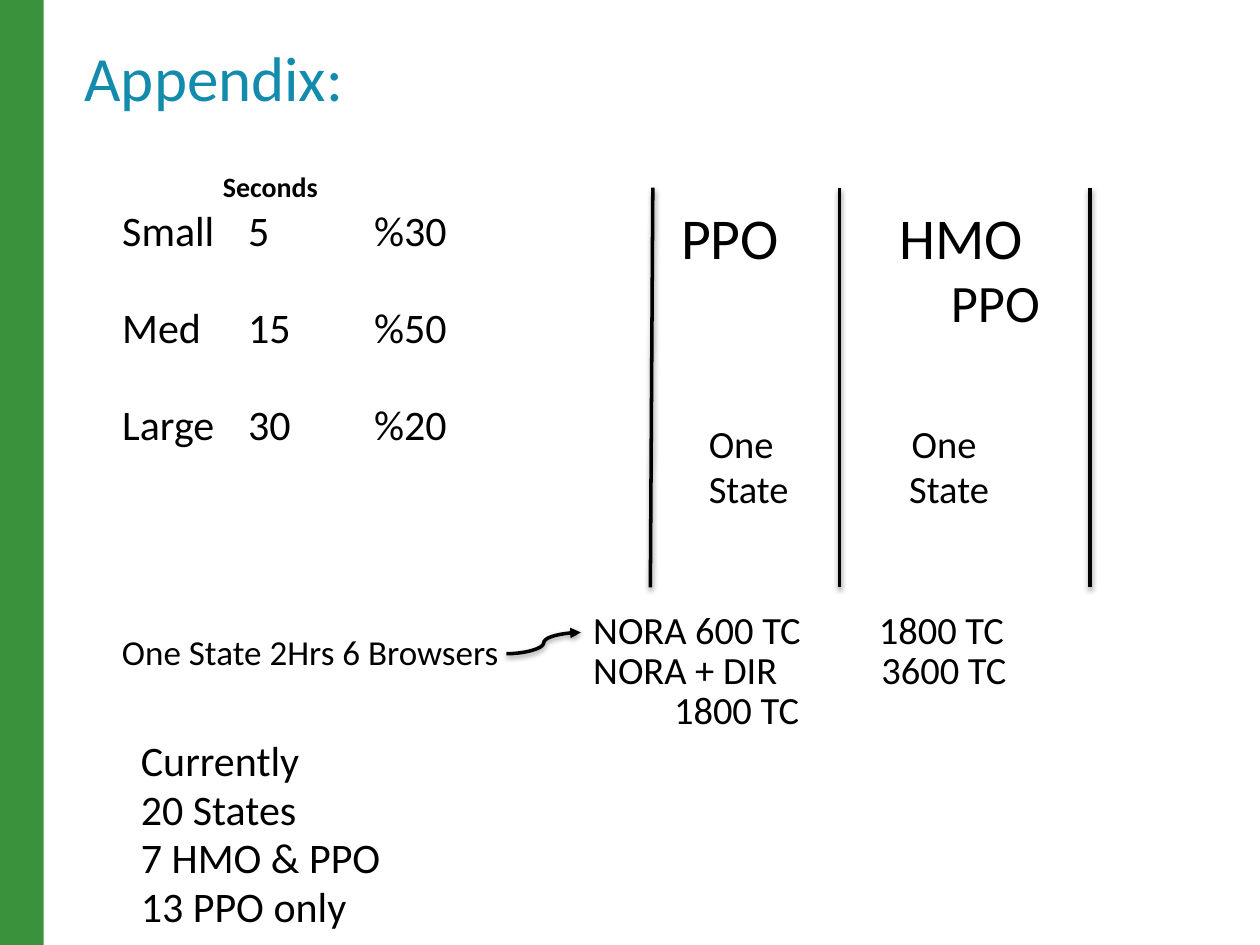
import pptx
import pptx.util
import pptx.dml.color
import pptx.enum.shapes
import pptx.enum.text
import lxml.etree
from pptx.util import Cm, Pt

NS = "http://schemas.openxmlformats.org/drawingml/2006/main"


def ink(part, tone):
    """Give a fill or a line's fill a solid colour from a hex string."""
    part.solid()
    part.fore_color.rgb = pptx.dml.color.RGBColor.from_string(tone)


def write(box, place, rows, ratio=0.8, tone="000000"):
    """Place a box and fill it with rows of text, size, space before and indent."""
    box.left, box.top, box.width, box.height = [Cm(n) for n in place]
    frame = box.text_frame
    frame.word_wrap = True
    frame.auto_size = pptx.enum.text.MSO_AUTO_SIZE.NONE
    frame.vertical_anchor = pptx.enum.text.MSO_ANCHOR.TOP
    for i, (text, size, gap, inset) in enumerate(rows):
        para = frame.paragraphs[0] if i == 0 else frame.add_paragraph()
        para.alignment = pptx.enum.text.PP_ALIGN.LEFT
        para.line_spacing = ratio
        para.space_before = Pt(gap)
        props = para._p.get_or_add_pPr()
        props.set("marL", str(Cm(inset)))
        props.set("indent", "0")
        lxml.etree.SubElement(props, f"{{{NS}}}buNone")
        run = para.add_run()
        run.text = text
        run.font.name = "Calibri"
        run.font.size = Pt(size)
        run.font.bold = text == "Seconds"
        ink(run.font.fill, tone)


deck = pptx.Presentation()
deck.slide_width, deck.slide_height = Cm(25.4), Cm(19.05)
slide = deck.slides.add_slide(deck.slide_layouts[1])
shapes = slide.shapes

bar = shapes.add_shape(pptx.enum.shapes.MSO_SHAPE.RECTANGLE, 0, 0, Cm(0.88), Cm(19.05))
bar.shadow.inherit = False
bar.line.fill.background()
ink(bar.fill, "3A923D")

write(shapes.title, (1.45, 0.65, 22.15, 1.7), [("Appendix:", 36, 0, 0)], 1.0, "128BAD")

# Load mix: size, seconds, share
write(slide.placeholders[1], (2.21, 3.43, 8, 6.58), [
    ("Seconds", 16, 0, 2.03),
    ("Small\t5\t\t%30", 24, 6, 0),
    ("Med\t15\t\t%50", 24, 32.4, 0),
    ("Large\t30\t\t%20", 24, 32.4, 0),
])

# Plan columns, test counts, run time and current states
notes = [
    ((12.01, 4.21, 4.8, 7.77), 0.8, [
        ("PPO", 33, 0, 1.47),
        ("One", 22, 90.5, 2.03),
        ("State", 22, 4.7, 2.03),
    ]),
    ((17.88, 4.21, 4, 7.77), 0.8, [
        ("HMO", 33, 0, 0),
        ("PPO", 30, 6.5, 1.04),
        ("One", 22, 55.3, 0.25),
        ("State", 22, 4.7, 0.2),
    ]),
    ((11.71, 12.34, 5.7, 2.67), 0.7, [
        ("NORA 600 TC", 22, 0, 0),
        ("NORA + DIR", 22, 4.5, 0),
        ("1800 TC", 22, 4.5, 1.63),
    ]),
    ((17.47, 12.34, 5.3, 2.67), 0.7, [
        ("1800 TC", 22, 0, 0),
        ("3600 TC", 22, 4.5, 0.05),
    ]),
    ((2.21, 12.75, 8.81, 1.32), 0.8, [("One State 2Hrs 6 Browsers", 20, 0, 0)]),
    ((2.59, 14.88, 8, 4.17), 0.8, [
        (text, 24, 4.7, 0)
        for text in ("Currently", "20 States", "7 HMO & PPO", "13 PPO only")
    ]),
]
for place, ratio, rows in notes:
    write(shapes.add_textbox(0, 0, 0, 0), place, rows, ratio)

# Column rules and the curved arrow
kinds = pptx.enum.shapes.MSO_CONNECTOR
lines = [(kinds.STRAIGHT, x, 3.78, end, 11.84)
         for x, end in ((13.16, 13.11), (16.92, 16.92), (21.97, 21.97))]
lines.append((kinds.CURVE, 10.21, 13.18, 11.71, 12.75))
for kind, *ends in lines:
    line = shapes.add_connector(kind, *[Cm(n) for n in ends])
    line.line.width = Pt(2)
    ink(line.line.fill, "000000")
    if kind == kinds.CURVE:
        lxml.etree.SubElement(line.line._get_or_add_ln(), f"{{{NS}}}tailEnd", type="triangle")
    line._element.spPr.append(lxml.etree.fromstring(
        f'<a:effectLst xmlns:a="{NS}"><a:outerShdw blurRad="{Pt(3.1)}" dist="{Pt(1.6)}" '
        'dir="5400000" rotWithShape="0"><a:srgbClr val="000000"><a:alpha val="38000"/>'
        '</a:srgbClr></a:outerShdw></a:effectLst>'))

deck.save("out.pptx")
